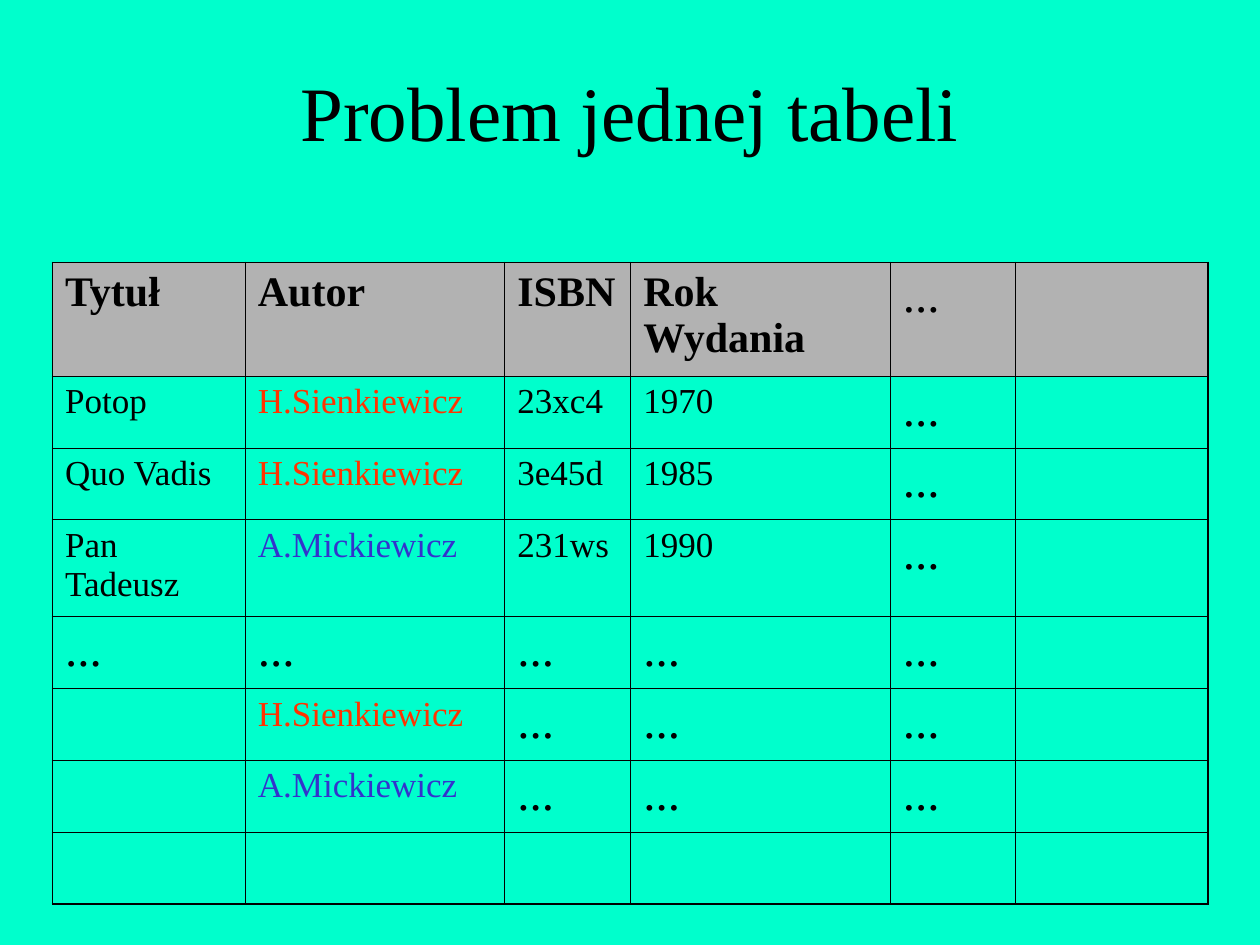
from pptx import Presentation
from pptx.dml.color import RGBColor
from pptx.enum.text import MSO_ANCHOR, PP_ALIGN
from pptx.oxml import parse_xml
from pptx.oxml.ns import nsdecls
from pptx.util import Pt

COLORS = {"background": "00FFCC", "header": "B2B2B2", "text": "000000",
          "sienkiewicz": "FF3300", "mickiewicz": "3333CC"}
FONT = "Times New Roman"
DOTS = "..."

TITLE = "Problem jednej tabeli"
HEADER = ["Tytuł", "Autor", "ISBN", "Rok Wydania", DOTS, ""]
BOOKS = [
    ["Potop", "H.Sienkiewicz", "23xc4", "1970", DOTS, ""],
    ["Quo Vadis", "H.Sienkiewicz", "3e45d", "1985", DOTS, ""],
    ["Pan Tadeusz", "A.Mickiewicz", "231ws", "1990", DOTS, ""],
    [DOTS] * 5 + [""],
    ["", "H.Sienkiewicz", DOTS, DOTS, DOTS, ""],
    ["", "A.Mickiewicz", DOTS, DOTS, DOTS, ""],
    [""] * 6,
]
AUTHOR_COLORS = {"H.Sienkiewicz": "sienkiewicz", "A.Mickiewicz": "mickiewicz"}

COLUMN_WIDTHS = [110.2, 148.3, 72, 148.3, 71.3, 110.2]
ROW_HEIGHTS = [65, 41, 41, 55.5, 41, 41, 41, 41]
INNER_LINE, OUTER_LINE = 0.45, 1.08


def write(frame, text, size, color="text", bold=False, align=PP_ALIGN.LEFT):
    frame.word_wrap = True
    paragraph = frame.paragraphs[0]
    paragraph.alignment = align
    run = paragraph.add_run()
    run.text = text
    run.font.name = FONT
    run.font.size = Pt(size)
    run.font.bold = bold
    run.font.color.rgb = RGBColor.from_string(COLORS[color])


def add_borders(cell, outer_sides):
    properties = cell._tc.get_or_add_tcPr()
    for side, is_outer in outer_sides.items():
        width = Pt(OUTER_LINE if is_outer else INNER_LINE)
        properties.append(parse_xml(
            f'<a:ln{side} {nsdecls("a")} w="{width}"><a:solidFill>'
            f'<a:srgbClr val="{COLORS["text"]}"/></a:solidFill></a:ln{side}>'))


prs = Presentation()
prs.slide_width, prs.slide_height = Pt(720), Pt(540)
slide = prs.slides.add_slide(prs.slide_layouts[6])
slide.background.fill.solid()
slide.background.fill.fore_color.rgb = RGBColor.from_string(COLORS["background"])

# Title
heading = slide.shapes.add_textbox(Pt(54), Pt(18), Pt(612), Pt(90)).text_frame
heading.vertical_anchor = MSO_ANCHOR.MIDDLE
write(heading, TITLE, 44, align=PP_ALIGN.CENTER)

# Book table
rows = [HEADER] + BOOKS
last_row, last_column = len(rows) - 1, len(HEADER) - 1
books = slide.shapes.add_table(
    len(rows), len(HEADER), Pt(30), Pt(150),
    Pt(sum(COLUMN_WIDTHS)), Pt(sum(ROW_HEIGHTS))).table
books.first_row = books.horz_banding = False
for column, width in zip(books.columns, COLUMN_WIDTHS):
    column.width = Pt(width)
for row, height in zip(books.rows, ROW_HEIGHTS):
    row.height = Pt(height)

# Cells: borders go in before the fill
for r, row_texts in enumerate(rows):
    for c, text in enumerate(row_texts):
        cell = books.cell(r, c)
        is_header = r == 0
        add_borders(cell, {"L": c == 0, "R": c == last_column,
                           "T": is_header, "B": r == last_row})
        if is_header:
            cell.fill.solid()
            cell.fill.fore_color.rgb = RGBColor.from_string(COLORS["header"])
        else:
            cell.fill.background()
        if text:
            size = 28 if text == DOTS else 24 if is_header else 20
            write(cell.text_frame, text, size,
                  color=AUTHOR_COLORS.get(text, "text"),
                  bold=is_header and text != DOTS)

prs.save("out.pptx")
